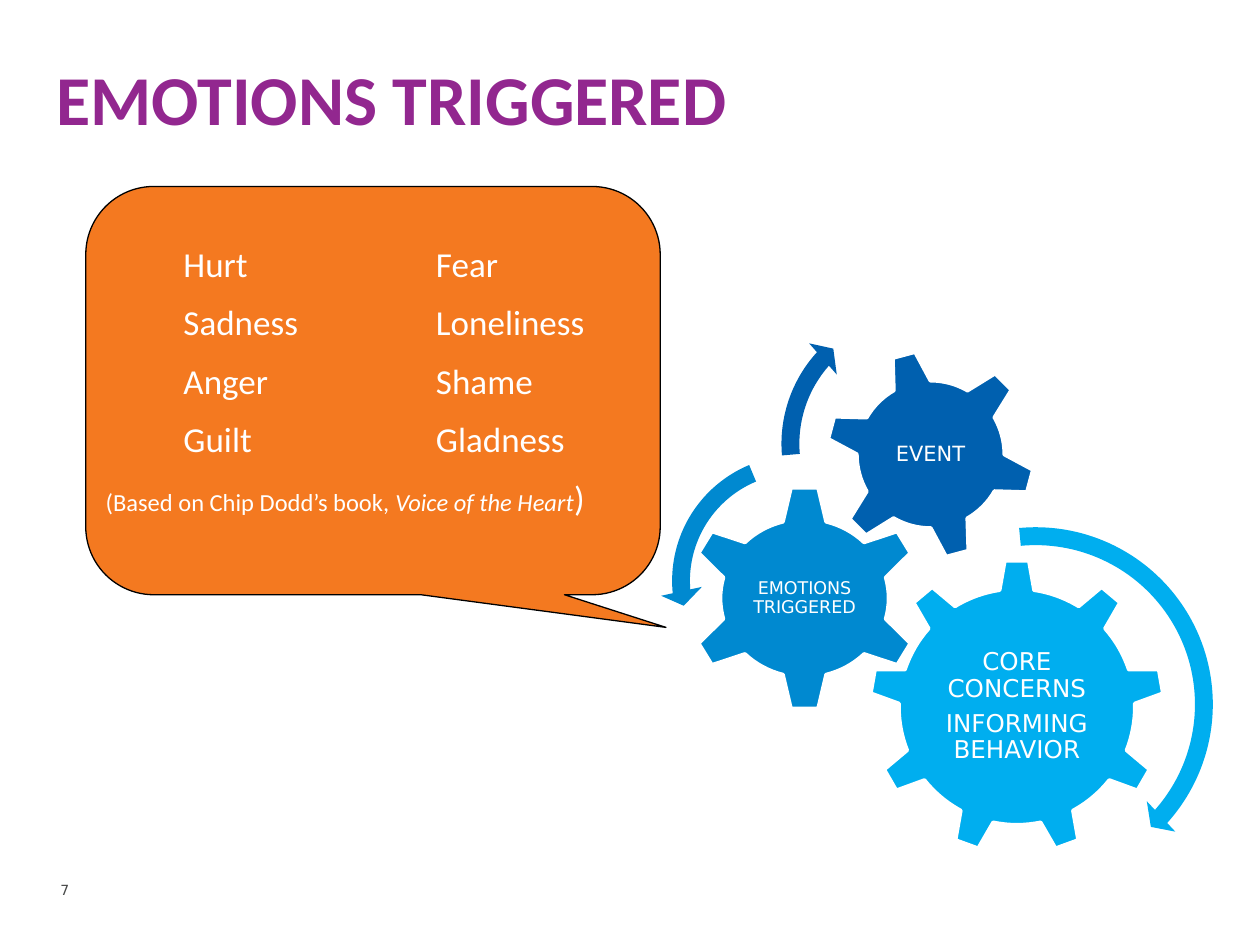
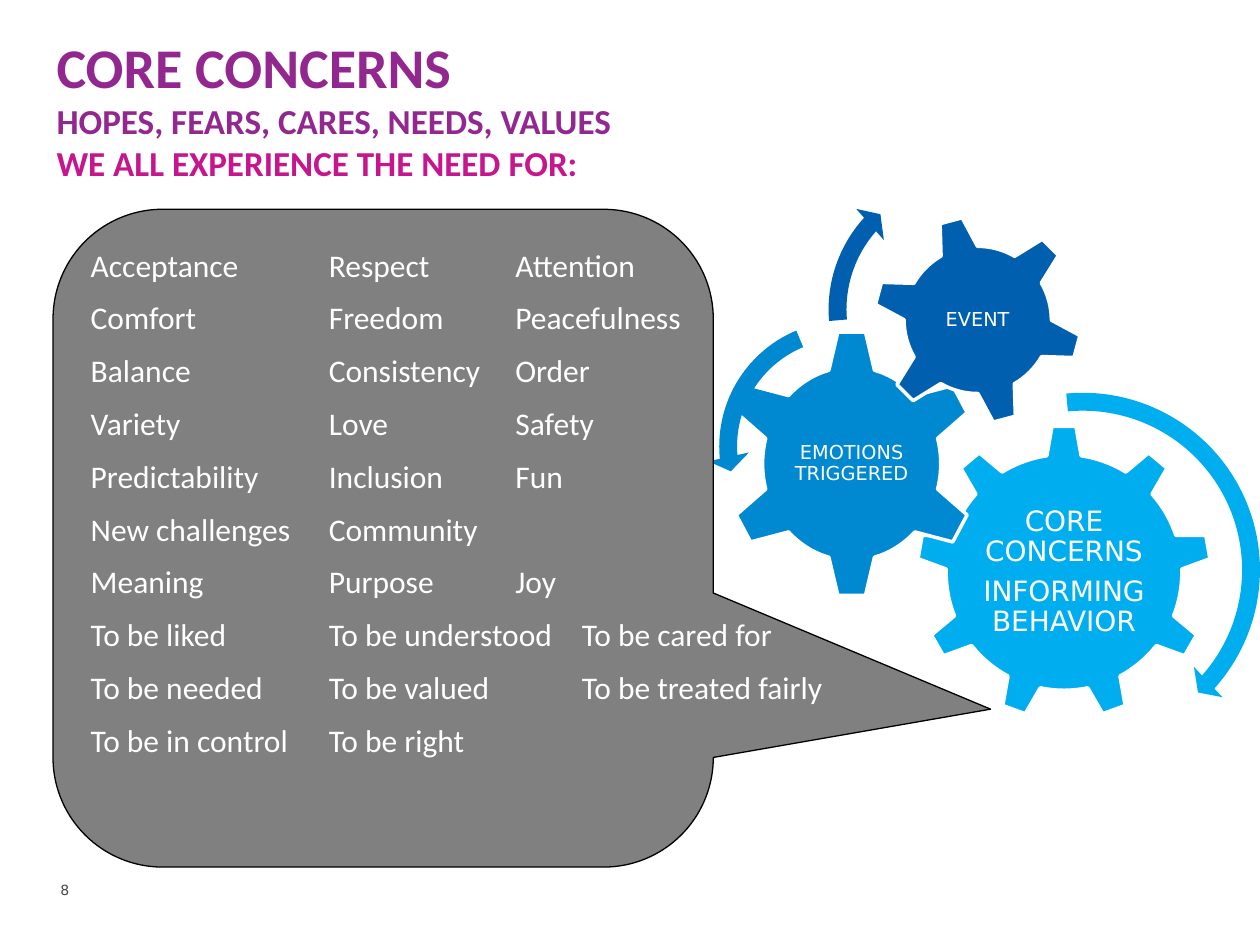
from lxml import etree
from pptx import Presentation
from pptx.dml.color import RGBColor
from pptx.enum import shapes, text
from pptx.oxml import ns
from pptx.util import Cm, Pt

PURPLE = RGBColor(0x92, 0x27, 0x8F)
MAGENTA = RGBColor(0xC6, 0x16, 0x8D)
ORANGE = RGBColor(0xF4, 0x79, 0x20)
GREY = RGBColor(0x80, 0x80, 0x80)
DARK_GREY = RGBColor(0x46, 0x48, 0x47)
DARK_BLUE = RGBColor(0x00, 0x60, 0xAF)
BLUE = RGBColor(0x00, 0x89, 0xD0)
LIGHT_BLUE = RGBColor(0x00, 0xAE, 0xEF)
WHITE = RGBColor(0xFF, 0xFF, 0xFF)
BLACK = RGBColor(0x00, 0x00, 0x00)

BODY_FONT = "Calibri"
LABEL_FONT = "DejaVu Sans"
PRESET = shapes.MSO_SHAPE

FEELINGS = ["\tHurt\tFear", "\tSadness\tLoneliness", "\tAnger\tShame", "\tGuilt\tGladness"]
NEEDS = [
    "Acceptance\tRespect\tAttention",
    "Comfort\tFreedom\tPeacefulness",
    "Balance\tConsistency\tOrder",
    "Variety\tLove\tSafety",
    "Predictability\tInclusion\tFun",
    "New challenges\tCommunity",
    "Meaning\tPurpose\tJoy",
    "To be liked\tTo be understood\tTo be cared for",
    "To be needed\tTo be valued\tTo be treated fairly",
    "To be in control\tTo be right",
]


class Deck:
    """Draws styled elements on the current slide of a presentation."""

    def __init__(self):
        self.presentation = Presentation()
        self.presentation.slide_width = Cm(25.4)
        self.presentation.slide_height = Cm(19.05)
        self.slide = None

    def new_slide(self, number):
        self.slide = self.presentation.slides.add_slide(self.presentation.slide_layouts[6])
        frame = self.text_box(1.22, 17.78, 1, 0.5)
        self.paragraph(frame, [(str(number), {})], 8, DARK_GREY, LABEL_FONT)

    def text_box(self, left, top, width, height, anchor=text.MSO_ANCHOR.TOP):
        frame = self.slide.shapes.add_textbox(Cm(left), Cm(top), Cm(width), Cm(height)).text_frame
        frame.word_wrap = True
        frame.vertical_anchor = anchor
        frame.margin_left = frame.margin_right = frame.margin_top = frame.margin_bottom = 0
        return frame

    def paragraph(self, frame, runs, size, color, font=BODY_FONT, before=0, stops=()):
        first = frame.paragraphs[0]
        paragraph = frame.add_paragraph() if first.runs else first
        paragraph.space_before = Pt(before)
        for words, style in runs:
            run = paragraph.add_run()
            run.text = words
            run.font.name = font
            run.font.size = Pt(style.get("size", size))
            run.font.bold = style.get("bold", False)
            run.font.italic = style.get("italic", False)
            run.font.color.rgb = color
        if stops:
            tabs = etree.SubElement(paragraph._p.get_or_add_pPr(), ns.qn("a:tabLst"))
            for stop in stops:
                etree.SubElement(tabs, ns.qn("a:tab"), pos=str(Cm(stop)), algn="l")
        return paragraph

    def title(self, top, lines):
        frame = self.text_box(1.14, top, 23.2, 1.8 * len(lines) ** 0.5)
        for words, size, color in lines:
            self.paragraph(frame, [(words, {"bold": True})], size, color)

    def shape(self, preset, box, fill, line=None, weight=0, adjustments=()):
        shape = self.slide.shapes.add_shape(preset, *map(Cm, box))
        shape.shadow.inherit = False
        shape.fill.solid()
        shape.fill.fore_color.rgb = fill
        if line is None:
            shape.line.fill.background()
        else:
            shape.line.color.rgb = line
            shape.line.width = Pt(weight)
        for index, value in enumerate(adjustments):
            shape.adjustments[index] = value
        return shape

    def callout(self, box, fill, tip):
        self.shape(PRESET.ROUNDED_RECTANGULAR_CALLOUT, box, fill, BLACK, 0.75, (*tip, 1 / 6))

    def gear(self, preset, center, size, fill, lines, font_size, rotation=0):
        (x, y), (width, height) = center, size
        box = (x - width / 2, y - height / 2, width, height)
        self.shape(preset, box, fill, WHITE, 2).rotation = rotation
        frame = self.text_box(x - width * 0.3, y - height * 0.25, width * 0.6, height * 0.5,
                              text.MSO_ANCHOR.MIDDLE)
        for words in lines:
            paragraph = self.paragraph(frame, [(words, {})], font_size, WHITE, LABEL_FONT)
            paragraph.alignment = text.PP_ALIGN.CENTER
            paragraph.line_spacing = 0.9
            paragraph.space_after = Pt(font_size * 0.35)

    def turn_arrow(self, preset, center, size, fill, degrees):
        x, y = center
        head, end, start = (angle * 0.6 for angle in degrees)
        self.shape(preset, (x - size / 2, y - size / 2, size, size), fill,
                   adjustments=(0.36 / size, head, end, start, 0.42 / size))

    def gear_train(self, shift, emotions_size, font_sizes):
        def place(x, y):
            return x + shift[0], y + shift[1]

        core_pt, emotions_pt, event_pt = font_sizes
        self.gear(PRESET.GEAR_9, place(20.5, 14.25), (5.94, 5.94), LIGHT_BLUE,
                  ["CORE CONCERNS", "INFORMING BEHAVIOR"], core_pt)
        self.gear(PRESET.GEAR_6, place(16.22, 12.06), emotions_size, BLUE,
                  ["EMOTIONS TRIGGERED"], emotions_pt)
        self.gear(PRESET.GEAR_6, place(18.76, 9.16), (4.24, 4.24), DARK_BLUE,
                  ["EVENT"], event_pt, 345)
        self.turn_arrow(PRESET.CIRCULAR_ARROW, place(20.88, 14.2), 7.62, LIGHT_BLUE,
                        (4.98, 41.81, 264.62))
        self.turn_arrow(PRESET.LEFT_CIRCULAR_ARROW, place(16.08, 11.71), 5.54, BLUE,
                        (7.17, 174.82, 247.3))
        self.turn_arrow(PRESET.CIRCULAR_ARROW, place(18.5, 8.95), 5.97, DARK_BLUE,
                        (6.57, 221.9, 175.14))


def emotions_slide(deck):
    deck.new_slide(7)
    deck.callout((1.73, 3.76, 11.58, 8.23), ORANGE, (0.51, 0.58))
    deck.title(1.12, [("EMOTIONS TRIGGERED", 40, PURPLE)])
    frame = deck.text_box(2.13, 4.88, 11, 6)
    for row in FEELINGS:
        deck.paragraph(frame, [(row, {})], 20, WHITE, before=9.5, stops=(1.57, 6.66))
    credit = [("(Based on Chip Dodd’s book, ", {}), ("Voice of the Heart", {"italic": True}),
              (")", {"size": 20})]
    deck.paragraph(frame, credit, 14, WHITE, before=9.5)
    deck.gear_train((0, 0), (4.75, 4.55), (14, 10, 12))


def concerns_slide(deck):
    deck.new_slide(8)
    deck.gear_train((0.95, -2.71), (5.13, 5.44), (16, 11, 11))
    deck.callout((1.07, 4.22, 13.31, 13.26), GREY, (0.92, 0.26))
    deck.title(0.66, [("CORE CONCERNS", 32, PURPLE),
                      ("HOPES, FEARS, CARES, NEEDS, VALUES", 20, PURPLE),
                      ("WE ALL EXPERIENCE THE NEED FOR:", 20, MAGENTA)])
    frame = deck.text_box(1.83, 4.95, 19, 11)
    for row in NEEDS:
        last_stop = 9.9 if row.startswith("To be") else 8.56
        deck.paragraph(frame, [(row, {})], 18, WHITE, before=8.6, stops=(4.8, last_stop))


def main():
    deck = Deck()
    emotions_slide(deck)
    concerns_slide(deck)
    deck.presentation.save("out.pptx")


if __name__ == "__main__":
    main()
